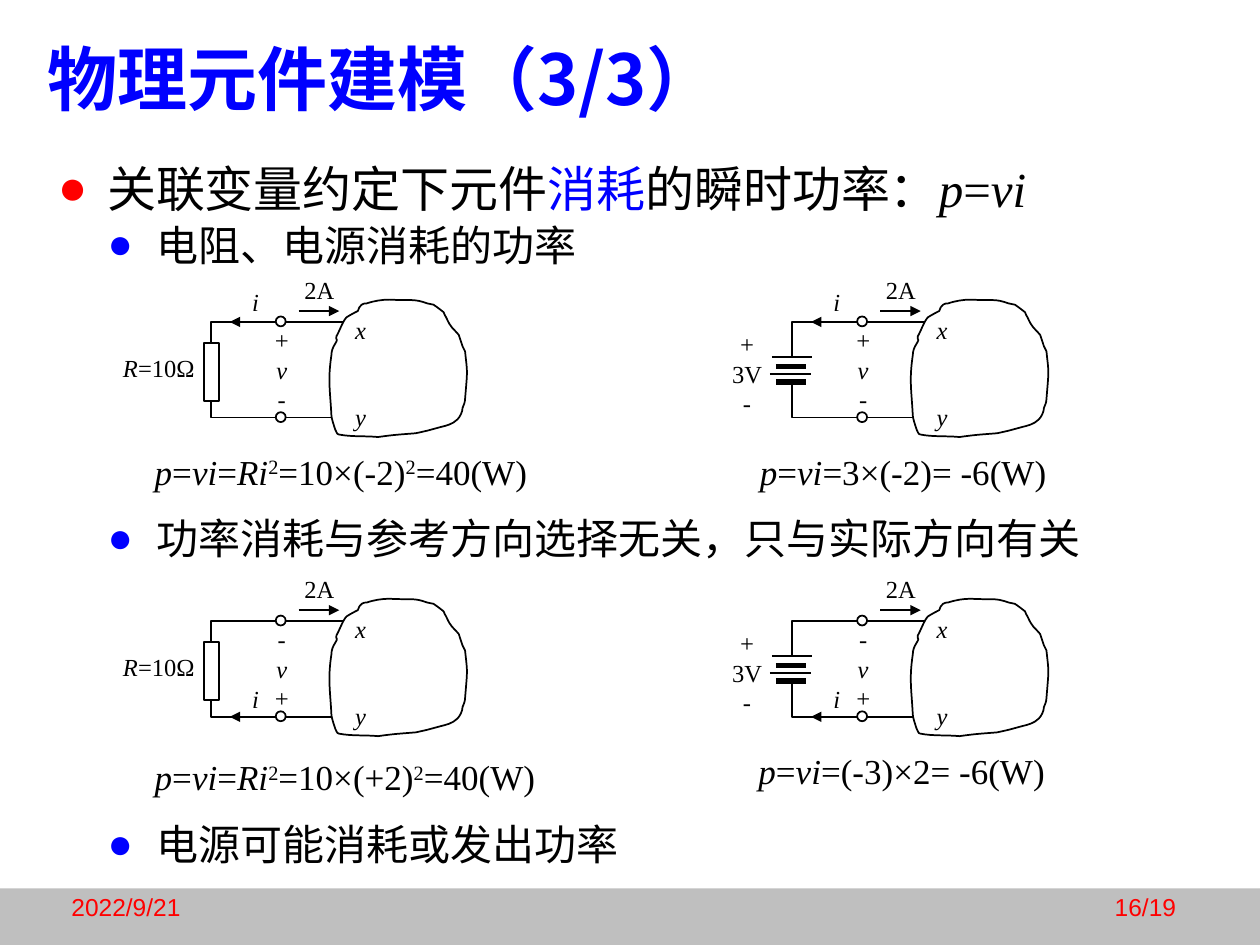
from lxml import etree
from pptx import Presentation
from pptx.dml.color import RGBColor
from pptx.enum.shapes import MSO_CONNECTOR, MSO_SHAPE
from pptx.enum.text import MSO_ANCHOR, PP_ALIGN
from pptx.oxml.ns import qn
from pptx.util import Cm, Pt

RECTANGLE, OVAL = MSO_SHAPE.RECTANGLE, MSO_SHAPE.OVAL
STRAIGHT = MSO_CONNECTOR.STRAIGHT
LEFT, CENTER, RIGHT = PP_ALIGN.LEFT, PP_ALIGN.CENTER, PP_ALIGN.RIGHT
TOP, MIDDLE, BOTTOM = MSO_ANCHOR.TOP, MSO_ANCHOR.MIDDLE, MSO_ANCHOR.BOTTOM

SERIF, SANS, CHINESE = "Times New Roman", "Arial", "Noto Sans CJK JP"
BLACK, WHITE, GRAY, BLUE, RED = "000000", "FFFFFF", "BFBFBF", "0000FF", "FF0000"

# Outline of the network, in 1/109 of its side: one point is a line, three a curve
NETWORK_SIDE = 2.77
NETWORK_START = (6, 29)
NETWORK_SEGMENTS = [
    [(8, 26), (11, 17), (14, 14)], [(17, 12), (23, 9), (23, 9)],
    [(24, 7), (24, 5), (26, 4)], [(27, 3), (29, 3), (30, 3)],
    [(36, 1), (42, 0), (48, 0)], [(66, 1), (67, -1), (78, 3)],
    [(80, 3), (81, 3), (83, 4)], [(86, 6), (91, 10), (91, 10)],
    [(92, 12), (92, 13), (93, 14)], [(97, 23), (98, 22), (103, 28)],
    [(106, 37)], [(108, 41)],
    [(110, 60), (110, 54), (108, 79)], [(108, 81), (107, 84), (106, 86)],
    [(106, 89), (104, 93), (102, 95)], [(98, 99), (93, 100), (89, 101)],
    [(84, 102), (83, 103), (78, 104)], [(75, 105), (72, 105), (69, 106)],
    [(57, 107), (53, 107), (39, 109)], [(29, 108), (18, 109), (8, 107)],
    [(6, 107), (6, 104), (5, 103)], [(4, 100), (2, 94), (2, 92)],
    [(1, 72), (-1, 64), (2, 44)], [(2, 41), (3, 38), (5, 35)],
    [(8, 30), (5, 33), (6, 29)],
]


def color(value):
    return RGBColor.from_string(value)


def format_font(run, size, name=SERIF, value=BLACK):
    run.font.size, run.font.name = Pt(size), name
    run.font.color.rgb = color(value)
    etree.SubElement(run._r.get_or_add_rPr(), qn("a:ea"), typeface=CHINESE)


def add_text(shapes, box, paragraphs, size, name=SERIF, value=BLACK,
             align=LEFT, anchor=TOP, wrap=False):
    """Each paragraph is a list of (text, style); style is "", "i", "^" or a colour."""
    shape = shapes.add_textbox(*(Cm(length) for length in box))
    frame = shape.text_frame
    frame.word_wrap, frame.vertical_anchor = wrap, anchor
    for index, parts in enumerate(paragraphs):
        paragraph = frame.add_paragraph() if index else frame.paragraphs[0]
        paragraph.alignment = align
        for text, style in parts:
            run = paragraph.add_run()
            run.text = text
            format_font(run, size, name, style if len(style) == 6 else value)
            run.font.italic = style == "i"
            if style == "^":
                run._r.get_or_add_rPr().set("baseline", "30000")
    return shape


def style_shape(shape, fill=WHITE, line=BLACK):
    shape.shadow.inherit = False
    if fill:
        shape.fill.solid()
        shape.fill.fore_color.rgb = color(fill)
    else:
        shape.fill.background()
    if line:
        shape.line.color.rgb, shape.line.width = color(line), Pt(1)
    else:
        shape.line.fill.background()
    return shape


def add_box(shapes, kind, box, fill=WHITE, line=BLACK):
    shape = shapes.add_shape(kind, *(Cm(length) for length in box))
    return style_shape(shape, fill, line)


def add_line(shapes, start_x, end_x, y, width=1, arrow=False):
    line = shapes.add_connector(STRAIGHT, Cm(start_x), Cm(y), Cm(end_x), Cm(y))
    line.line.color.rgb, line.line.width = color(BLACK), Pt(width)
    if arrow:
        etree.SubElement(line.line._get_or_add_ln(), qn("a:tailEnd"), type="triangle")
    etree.SubElement(line._element.spPr, qn("a:effectLst"))


def add_network(shapes, left, top):
    unit = NETWORK_SIDE / 109
    points = [NETWORK_START, *(point for segment in NETWORK_SEGMENTS for point in segment)]
    scaled = [(Cm(left + x * unit), Cm(top + y * unit)) for x, y in points]
    builder = shapes.build_freeform(*scaled[0])
    builder.add_line_segments(scaled[1:], close=True)
    shape = style_shape(builder.convert_to_shape())
    # Merge each three points of a curve into one Bezier segment
    lines = iter(list(shape._element.iter(qn("a:lnTo"))))
    for segment in NETWORK_SEGMENTS:
        first, *others = [next(lines) for _ in segment]
        if others:
            first.tag = qn("a:cubicBezTo")
            for other in others:
                first.append(other[0])
                other.getparent().remove(other)


def add_resistor(shapes, left, top):
    add_box(shapes, RECTANGLE, (left - 0.14, top + 0.42, 0.3, 1.17))
    add_text(shapes, (left - 2.02, top + 0.5, 2.03, 0.86),
             [[("R", "i"), ("=10", ""), ("Ω", "")]], 14)


def add_battery(shapes, left, top):
    add_box(shapes, RECTANGLE, (left - 0.61, top + 0.7, 1.17, 0.53), line=None)
    for start, end, y, width in [(-0.41, 0.4, 0.71, 1), (-0.45, 0.37, 1.05, 1),
                                 (-0.33, 0.28, 0.9, 3), (-0.33, 0.28, 1.21, 3)]:
        add_line(shapes, left + start, left + end, top + y, width)
    add_text(shapes, (left - 1.52, top + 0.02, 1.22, 2.08),
             [[("+", "i")], [("3V", "")], [("-", "i")]], 14, align=CENTER, wrap=True)


def add_circuit(slide, left, top, add_element, polarity, current_below):
    """Left and top are the corner of the wire loop."""
    shapes = slide.shapes.add_group_shape().shapes
    loop_height = 1.93
    add_box(shapes, RECTANGLE, (left, top, 2.69, loop_height), fill=None)
    add_network(shapes, left + 2.38, top - 0.45)
    ports = add_text(shapes, (left + 2.66, top - 0.57, 0.74, 2.84),
                     [[("x", "i")], [("y", "i")]], 14)
    for paragraph in ports.text_frame.paragraphs:
        paragraph.line_spacing = 1.5
    paragraph.space_before = Pt(25)
    # Terminals and voltage
    for y in (0, loop_height):
        add_box(shapes, OVAL, (left + 1.31, top + y - 0.11, 0.2, 0.2))
    add_text(shapes, (left + 1, top - 0.06, 0.86, 2.06),
             [[(mark, "i")] for mark in polarity], 14, align=CENTER)
    # Current arrows
    current_y, label_y = (loop_height, 1.14) if current_below else (0, -0.83)
    add_line(shapes, left + 1.04, left + 0.38, top + current_y, arrow=True)
    add_text(shapes, (left + 0.57, top + label_y, 0.66, 0.86), [[("i", "i")]], 14, align=CENTER)
    add_line(shapes, left + 1.77, left + 2.59, top - 0.22, arrow=True)
    add_text(shapes, (left + 1.63, top - 1.08, 1.12, 0.86), [[("2A", "")]], 14, align=CENTER)
    add_element(shapes, left, top)


def add_bullet(slide, top, height, parts, size, level, indent, hanging, bullet_color):
    shape = add_text(slide.shapes, (0.92, top, 23.6, height), [parts], size,
                     anchor=MIDDLE, wrap=True)
    paragraph = shape.text_frame.paragraphs[0]
    paragraph.level = level
    properties = paragraph._p.get_or_add_pPr()
    properties.set("marL", str(Cm(indent)))
    properties.set("indent", str(-Cm(hanging)))
    bullet = etree.SubElement(properties, qn("a:buClr"))
    etree.SubElement(bullet, qn("a:srgbClr"), val=bullet_color)
    etree.SubElement(properties, qn("a:buFont"), typeface=SERIF)
    etree.SubElement(properties, qn("a:buChar"), char="●")


def add_title(slide):
    title = slide.shapes.title
    title.left, title.top, title.width, title.height = Cm(0.71), Cm(0.58), Cm(24.13), Cm(1.96)
    frame = title.text_frame
    frame.text, frame.vertical_anchor = "物理元件建模（3/3）", MIDDLE
    frame.paragraphs[0].alignment = LEFT
    run = frame.paragraphs[0].runs[0]
    format_font(run, 40, CHINESE, BLUE)
    run.font.bold = True


def add_footer(slide):
    for left, text, align in [(1.19, "2022/9/21", LEFT), (18.68, "16/19", RIGHT)]:
        add_text(slide.shapes, (left, 17.44, 5.28, 1.27), [[(text, "")]], 14, SANS, RED,
                 align, BOTTOM, True)


def main():
    presentation = Presentation()
    presentation.slide_width, presentation.slide_height = Cm(25.4), Cm(19.05)
    slide = presentation.slides.add_slide(presentation.slide_layouts[5])

    # Gray footer band below a white page
    slide.background.fill.solid()
    slide.background.fill.fore_color.rgb = color(GRAY)
    page = add_box(slide.shapes, RECTANGLE, (0, 0, 25.4, 17.91), line=None)
    slide.shapes._spTree.insert(2, page._element)

    add_title(slide)

    # Statements
    add_bullet(slide, 3.07, 1.45, [("关联变量约定下元件", ""), ("消耗", BLUE), ("的瞬时功率：", ""),
                                   ("p", "i"), ("=", ""), ("vi", "i")], 28, 0, 0.99, 0.99, RED)
    for top, text in [(4.29, "电阻、电源消耗的功率"),
                      (10.21, "功率消耗与参考方向选择无关，只与实际方向有关"),
                      (16.38, "电源可能消耗或发出功率")]:
        add_bullet(slide, top, 1.27, [(text, "")], 24, 1, 1.99, 0.99, BLUE)

    # Circuits: resistor on the left, battery on the right
    for top, polarity, current_below in [(6.49, "+v-", False), (12.52, "-v+", True)]:
        for left, add_element in [(4.25, add_resistor), (15.97, add_battery)]:
            add_circuit(slide, left, top, add_element, polarity, current_below)

    # Power formulas
    power = [("p", "i"), ("=", ""), ("vi", "i")]
    for left, top, width, current in [(2.87, 8.95, 8.43, "-2"), (2.87, 15.11, 8.84, "+2")]:
        add_text(slide.shapes, (left, top, width, 1.12),
                 [power + [("=", ""), ("Ri", "i"), ("2", "^"), (f"=10×({current})", ""),
                           ("2", "^"), ("=40(W)", "")]], 20)
    for left, top, result in [(15.07, 8.95, "=3×(-2)= -6(W)"), (15.04, 14.99, "=(-3)×2= -6(W)")]:
        add_text(slide.shapes, (left, top, 6.63, 1.12), [power + [(result, "")]], 20)

    add_footer(slide)
    presentation.save("out.pptx")


if __name__ == "__main__":
    main()
